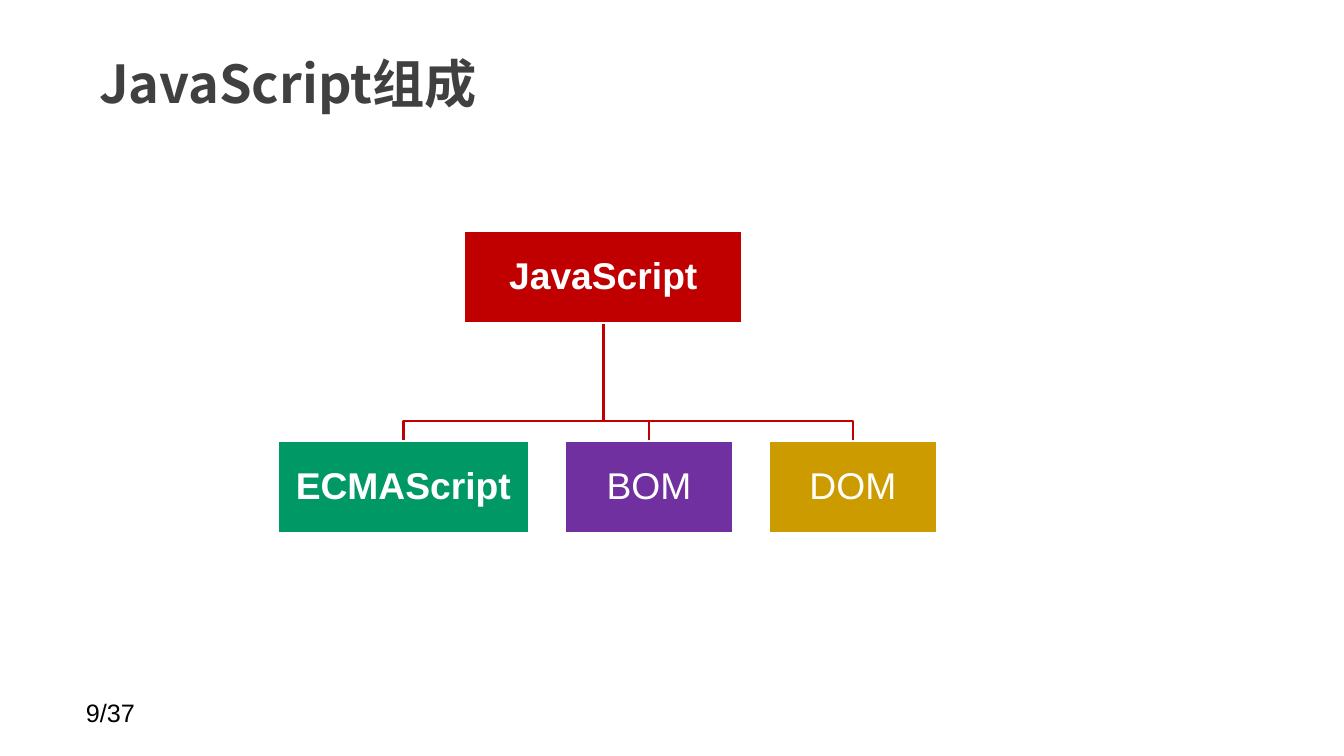
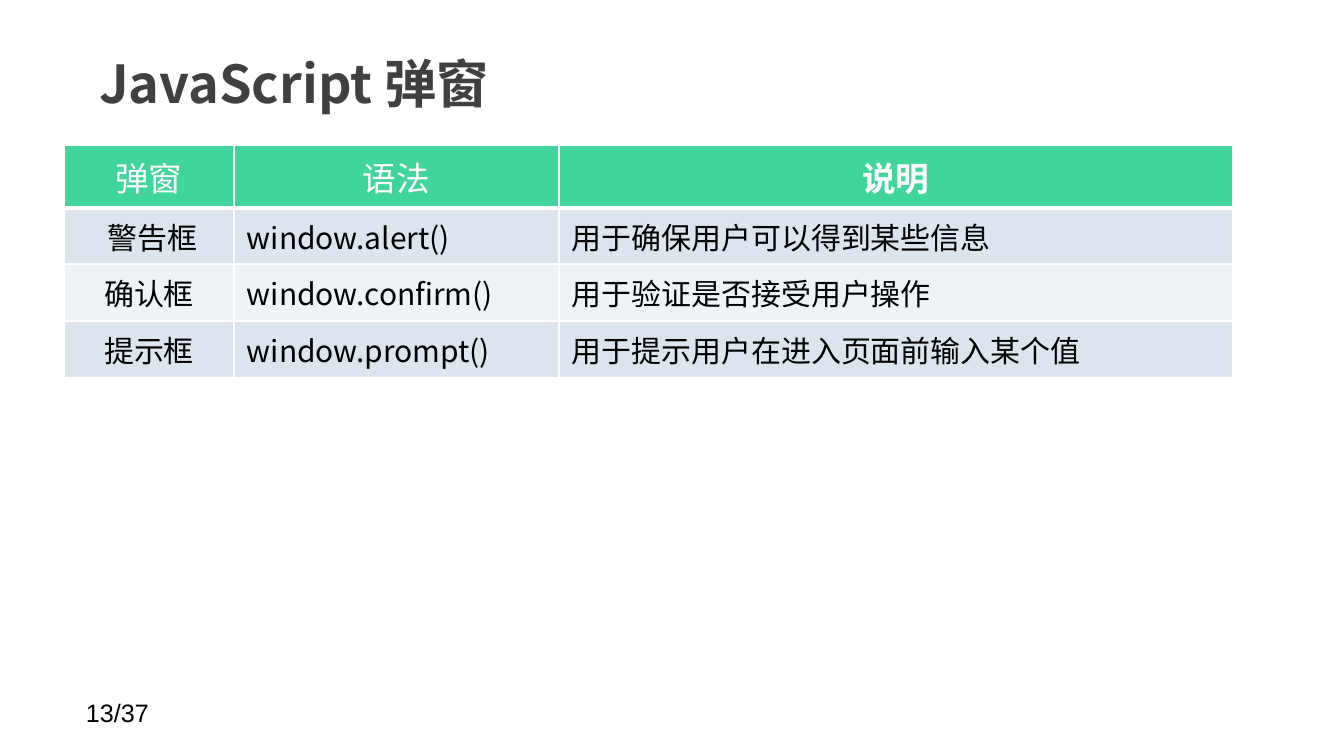
import pptx
import pptx.dml.color
import pptx.enum.shapes
import pptx.enum.text
import pptx.oxml
import pptx.oxml.ns
import pptx.util

RGBColor = pptx.dml.color.RGBColor
ALIGN = pptx.enum.text.PP_ALIGN
MIDDLE = pptx.enum.text.MSO_ANCHOR.MIDDLE

WHITE = RGBColor(0xFF, 0xFF, 0xFF)
BLACK = RGBColor(0x00, 0x00, 0x00)
TITLE_GREY = RGBColor(0x40, 0x40, 0x40)
RED = RGBColor(0xC0, 0x00, 0x00)
GREEN = RGBColor(0x00, 0x99, 0x66)
PURPLE = RGBColor(0x70, 0x30, 0xA0)
GOLD = RGBColor(0xCC, 0x9B, 0x00)
HEADER_GREEN = RGBColor(0x40, 0xD5, 0x9B)
BAND_DARK = RGBColor(0xDC, 0xE5, 0xEE)
BAND_LIGHT = RGBColor(0xEE, 0xF3, 0xF7)

LATIN_FONT = "Arial"
CHINESE_FONT = "Noto Sans CJK SC"
PX_PER_INCH = 100.8
SLIDE_SIZE = (1344, 756)
TITLE_BOX = (86, 31, 1049, 104)
PAGE_BOX = (76, 692, 235, 40)
PAGE_COUNT = 37

TITLE_STYLE = {"name": CHINESE_FONT, "size": 37.3, "color": TITLE_GREY, "bold": True}
PAGE_STYLE = {"name": LATIN_FONT, "size": 18, "color": BLACK, "bold": False}
NODE_STYLE = {"name": LATIN_FONT, "size": 26.6, "color": WHITE, "bold": False}
HEADER_STYLE = {"name": CHINESE_FONT, "size": 24, "color": WHITE, "bold": False}
BODY_STYLE = {"name": CHINESE_FONT, "size": 21.4, "color": BLACK, "bold": False}


def px(length):
    return pptx.util.Emu(round(length * 914400 / PX_PER_INCH))


def set_attributes(target, values):
    for name, value in values.items():
        setattr(target, name, value)


def write_text(text_frame, text, style, align=ALIGN.LEFT):
    paragraph = text_frame.paragraphs[0]
    paragraph.alignment = align
    run = paragraph.add_run()
    run.text = text
    run.font.color.rgb = style["color"]
    set_attributes(run.font, {
        "size": pptx.util.Pt(style["size"]),
        "bold": style["bold"],
        "name": style["name"],
    })
    east_asian = pptx.oxml.parse_xml(
        f'<a:ea {pptx.oxml.ns.nsdecls("a")} typeface="{style["name"]}"/>')
    run.font._element.append(east_asian)
    return paragraph


def margins(horizontal, vertical):
    return {
        "margin_left": px(horizontal), "margin_right": px(horizontal),
        "margin_top": px(vertical), "margin_bottom": px(vertical),
    }


def add_titled_slide(presentation, title, page):
    slide = presentation.slides.add_slide(presentation.slide_layouts[5])
    shape = slide.shapes.title
    set_attributes(shape, dict(zip(("left", "top", "width", "height"), map(px, TITLE_BOX))))
    set_attributes(shape.text_frame, {
        "word_wrap": True,
        "vertical_anchor": MIDDLE,
        "auto_size": pptx.enum.text.MSO_AUTO_SIZE.NONE,
        **margins(13, 6),
    })
    write_text(shape.text_frame, title, TITLE_STYLE)

    page_number = slide.shapes.add_textbox(*map(px, PAGE_BOX))
    page_number.text_frame.word_wrap = True
    write_text(page_number.text_frame, f"{page}/{PAGE_COUNT}", PAGE_STYLE)
    return slide


def set_outline(shape, color):
    shape.shadow.inherit = False
    shape.line.color.rgb = color
    shape.line.width = pptx.util.Pt(2)


def add_branch(slide, points):
    """Draw an open, unfilled line through the points."""
    start, *rest = [tuple(map(px, point)) for point in points]
    builder = slide.shapes.build_freeform(*start)
    builder.add_line_segments(rest, close=False)
    branch = builder.convert_to_shape()
    branch.fill.background()
    set_outline(branch, RED)


def add_node(slide, box, text, fill, bold):
    shape = slide.shapes.add_shape(
        pptx.enum.shapes.MSO_SHAPE.RECTANGLE, *map(px, box))
    shape.fill.solid()
    shape.fill.fore_color.rgb = fill
    set_outline(shape, WHITE)
    set_attributes(shape.text_frame, {
        "word_wrap": True, "vertical_anchor": MIDDLE, **margins(2, 2)})
    style = {**NODE_STYLE, "bold": bold}
    write_text(shape.text_frame, text, style, ALIGN.CENTER).line_spacing = 0.9


def add_tree(slide, box, root, children):
    """Branch from the root's bottom centre to each child's top centre.

    Nodes are (text, left offset, width, fill, bold).
    """
    left, top, height = box
    node_height, drop = 92, 20
    child_top = top + height - node_height
    bus_y = child_top - drop

    def middle(node):
        return left + node[1] + node[2] / 2

    # Branches come first so that the white node outlines cover their ends.
    for child in reversed(children):
        add_branch(slide, [
            (middle(root), top + node_height), (middle(root), bus_y),
            (middle(child), bus_y), (middle(child), child_top)])

    for node in (root, *children):
        text, offset, width, fill, bold = node
        node_top = top if node is root else child_top
        add_node(slide, (left + offset, node_top, width, node_height), text, fill, bold)


def set_borders(cell, top_width, bottom_width):
    properties = cell._tc.get_or_add_tcPr()
    for side, points in {"L": 1, "R": 1, "T": top_width, "B": bottom_width}.items():
        properties.append(pptx.oxml.parse_xml(
            f'<a:ln{side} {pptx.oxml.ns.nsdecls("a")} w="{pptx.util.Pt(points)}">'
            f'<a:solidFill><a:srgbClr val="{WHITE}"/></a:solidFill></a:ln{side}>'))


def add_grid(slide, position, column_widths, row_heights, rows):
    frame = slide.shapes.add_table(
        len(rows), len(column_widths), *map(px, position),
        px(sum(column_widths)), px(sum(row_heights)))
    table = frame.table
    table.first_row = table.horz_banding = False
    for column, width in zip(table.columns, column_widths):
        column.width = px(width)
    for row_index, (row, texts) in enumerate(zip(table.rows, rows)):
        row.height = px(row_heights[row_index])
        is_header = row_index == 0
        fill = HEADER_GREEN if is_header else (BAND_LIGHT, BAND_DARK)[row_index % 2]
        for column_index, (cell, text) in enumerate(zip(row.cells, texts)):
            set_borders(cell, 3 if row_index == 1 else 1, 3 if is_header else 1)
            cell.fill.solid()
            cell.fill.fore_color.rgb = fill
            set_attributes(cell, {"vertical_anchor": MIDDLE, **margins(13, 7)})
            style = HEADER_STYLE if is_header else BODY_STYLE
            if is_header and column_index == len(texts) - 1:
                style = {**style, "bold": True}
            centred = is_header or column_index == 0
            write_text(cell.text_frame, text, style,
                       ALIGN.CENTER if centred else ALIGN.LEFT)


def build_composition_slide(presentation):
    slide = add_titled_slide(presentation, "JavaScript组成", 9)
    add_tree(
        slide, (278, 231, 302),
        ("JavaScript", 186, 279, RED, True),
        [
            ("ECMAScript", 0, 251, GREEN, True),
            ("BOM", 287, 168, PURPLE, False),
            ("DOM", 491, 168, GOLD, False),
        ])


def build_dialog_slide(presentation):
    slide = add_titled_slide(presentation, "JavaScript 弹窗", 13)
    add_grid(slide, (64, 145), (170, 325, 674), (63, 56, 57, 57), [
        ("弹窗", "语法", "说明"),
        (" 警告框", "window.alert()", "用于确保用户可以得到某些信息"),
        ("确认框", "window.confirm()", "用于验证是否接受用户操作"),
        ("提示框", "window.prompt()", "用于提示用户在进入页面前输入某个值"),
    ])


def main():
    presentation = pptx.Presentation()
    presentation.slide_width, presentation.slide_height = map(px, SLIDE_SIZE)
    build_composition_slide(presentation)
    build_dialog_slide(presentation)
    presentation.save("out.pptx")


if __name__ == "__main__":
    main()
